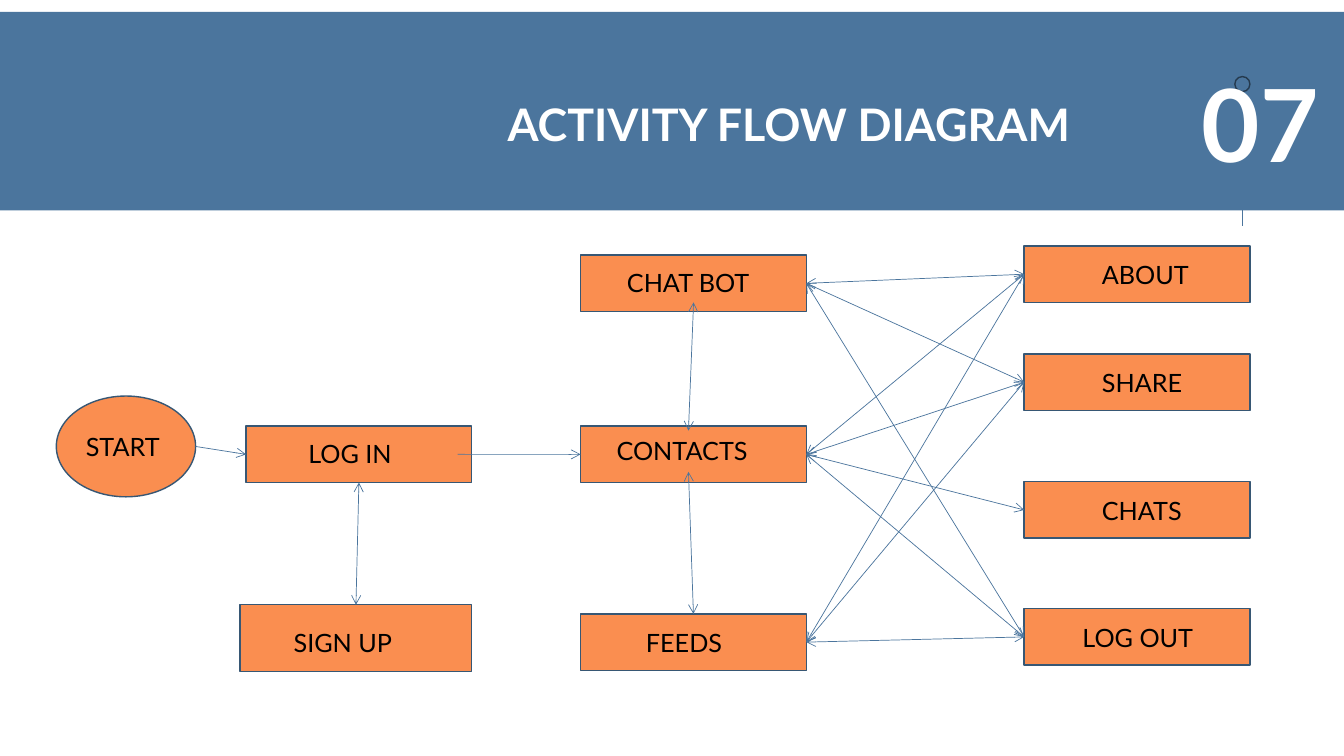
from pptx import Presentation
from pptx import util as u
from pptx.dml.color import RGBColor
from pptx.enum import shapes, text
from pptx.oxml.ns import qn
from lxml import etree

COLORS = {"blue": "4B759D", "orange": "FA8E50", "edge": "375774",
          "white": "FFFFFF", "black": "000000"}
FONT = "Lato"
TOP, LEFT, BOTTOM, RIGHT = range(4)
BOX_W, BOX_H = 5.69, 1.42


def rgb(name):
    return RGBColor.from_string(COLORS[name])


def add_shape(slide, kind, x, y, w, h, fill=None, line=None):
    sp = slide.shapes.add_shape(kind, u.Cm(x), u.Cm(y), u.Cm(w), u.Cm(h))
    sp.shadow.inherit = False
    if fill:
        sp.fill.solid()
        sp.fill.fore_color.rgb = rgb(fill)
    else:
        sp.fill.background()
    if line:
        sp.line.color.rgb = rgb(line)
        sp.line.width = u.Pt(1)
    else:
        sp.line.fill.background()
    return sp


def write(sp, words, size, color, align, anchor, bold=False):
    tf = sp.text_frame
    tf.word_wrap = True
    tf.auto_size = text.MSO_AUTO_SIZE.NONE
    tf.vertical_anchor = anchor
    p = tf.paragraphs[0]
    p.text = words
    p.alignment = align
    p.font.name, p.font.size, p.font.bold = FONT, u.Pt(size), bold
    p.font.color.rgb = rgb(color)


def add_line(slide, start, end, width, heads=()):
    """Join two ends, each an (x, y) point in cm or a (shape, side) pair."""
    c = slide.shapes.add_connector(shapes.MSO_CONNECTOR.STRAIGHT, 0, 0, 0, 0)
    if isinstance(start[0], (int, float)):
        c.begin_x, c.begin_y = u.Cm(start[0]), u.Cm(start[1])
    else:
        c.begin_connect(*start)
    if isinstance(end[0], (int, float)):
        c.end_x, c.end_y = u.Cm(end[0]), u.Cm(end[1])
    else:
        c.end_connect(*end)
    c.line.color.rgb = rgb("blue")
    c.line.width = u.Pt(width)
    for head in heads:
        etree.SubElement(c.line._get_or_add_ln(), qn(f"a:{head}"), type="arrow")
    etree.SubElement(c.element.spPr, qn("a:effectLst"))


def add_header(slide, x, y, w, h):
    right = x + w
    title = slide.shapes.title
    band = add_shape(slide, shapes.MSO_SHAPE.RECTANGLE, x, y, w, h, "blue")
    title.element.addprevious(band.element)
    ring = add_shape(slide, shapes.MSO_SHAPE.OVAL, right - 2.75, y + 1.63,
                     0.38, 0.38, line="black")
    tint = ring.element.spPr.find(".//" + qn("a:ln")).find(".//" + qn("a:srgbClr"))
    etree.SubElement(tint, qn("a:alpha"), val="50000")
    add_line(slide, (right - 2.56, y + 3.23), (right - 2.56, y + 5.39), 1)

    title.left, title.top = u.Cm(right - 22.47), u.Cm(y + 2.01)
    title.width, title.height = u.Cm(15.83), u.Cm(1.63)
    number = slide.shapes.add_textbox(u.Cm(right - 7.12), u.Cm(y + 1.12),
                                      u.Cm(6.73), u.Cm(3.33))
    for sp, words, size in ((title, "ACTIVITY FLOW DIAGRAM", 32), (number, "07", 72)):
        write(sp, words, size, "white", text.PP_ALIGN.RIGHT,
              text.MSO_ANCHOR.MIDDLE, bold=True)


def add_step(slide, words, x, y, inset, drop, w=BOX_W, h=BOX_H,
             kind=shapes.MSO_SHAPE.RECTANGLE):
    """Draw a step whose label starts inset from its left and drop from its top."""
    sp = add_shape(slide, kind, x, y, w, h, "orange", "edge")
    tf = sp.text_frame
    tf.margin_left, tf.margin_top = u.Cm(inset), u.Cm(drop)
    tf.margin_right = tf.margin_bottom = 0
    write(sp, words, 18, "black", text.PP_ALIGN.LEFT, text.MSO_ANCHOR.TOP)
    return sp


def add_flow(slide, x, y):
    middle, last = x + 13.21, x + 24.39
    add_step(slide, "START", x, y + 3.78, 0.23, 0.51, 3.51, 2.54,
             shapes.MSO_SHAPE.OVAL)
    log_in = add_step(slide, "LOG IN", x + 4.78, y + 4.54, 1.57, 0.3)
    sign_up = add_step(slide, "SIGN UP", x + 4.63, y + 9.04, 1.35, 0.56, 5.84, 1.68)
    chat_bot = add_step(slide, "CHAT BOT", middle, y + 0.23, 1.17, 0.3)
    contacts = add_step(slide, "CONTACTS", middle, y + 4.54, 0.91, 0.23)
    feeds = add_step(slide, "FEEDS", middle, y + 9.27, 1.65, 0.33)
    about, share, chats, log_out = [
        add_step(slide, words, last, y + dy, inset, 0.33)
        for words, dy, inset in (("ABOUT", 0, 1.96), ("SHARE", 2.72, 1.96),
                                 ("CHATS", 5.94, 1.96), ("LOG OUT", 9.14, 1.47))]

    one_way, two_way = ("tailEnd",), ("headEnd", "tailEnd")
    links = [
        ((x + 3.51, y + 5.05), (log_in, LEFT), one_way),
        ((log_in, BOTTOM), (sign_up, TOP), two_way),
        ((x + 10.11, y + 5.25), (contacts, LEFT), one_way),
        ((x + 15.93, y + 5.69), (feeds, TOP), two_way),
        ((x + 16.06, y + 1.42), (x + 15.93, y + 4.65), two_way),
    ]
    targets = ((chat_bot, (about, share, log_out)),
               (contacts, (about, share, chats, log_out)),
               (feeds, (about, share, log_out)))
    links += [((source, RIGHT), (target, LEFT), two_way)
              for source, ends in targets for target in ends]
    for start, end, heads in links:
        add_line(slide, start, end, 0.5, heads)


def main():
    prs = Presentation()
    prs.slide_width, prs.slide_height = u.Cm(33.87), u.Cm(19.05)
    slide = prs.slides.add_slide(prs.slide_layouts.get_by_name("Title Only"))
    add_header(slide, 0, 0.3, 33.87, 5)
    add_flow(slide, 1.42, 6.2)
    prs.save("out.pptx")


if __name__ == "__main__":
    main()
